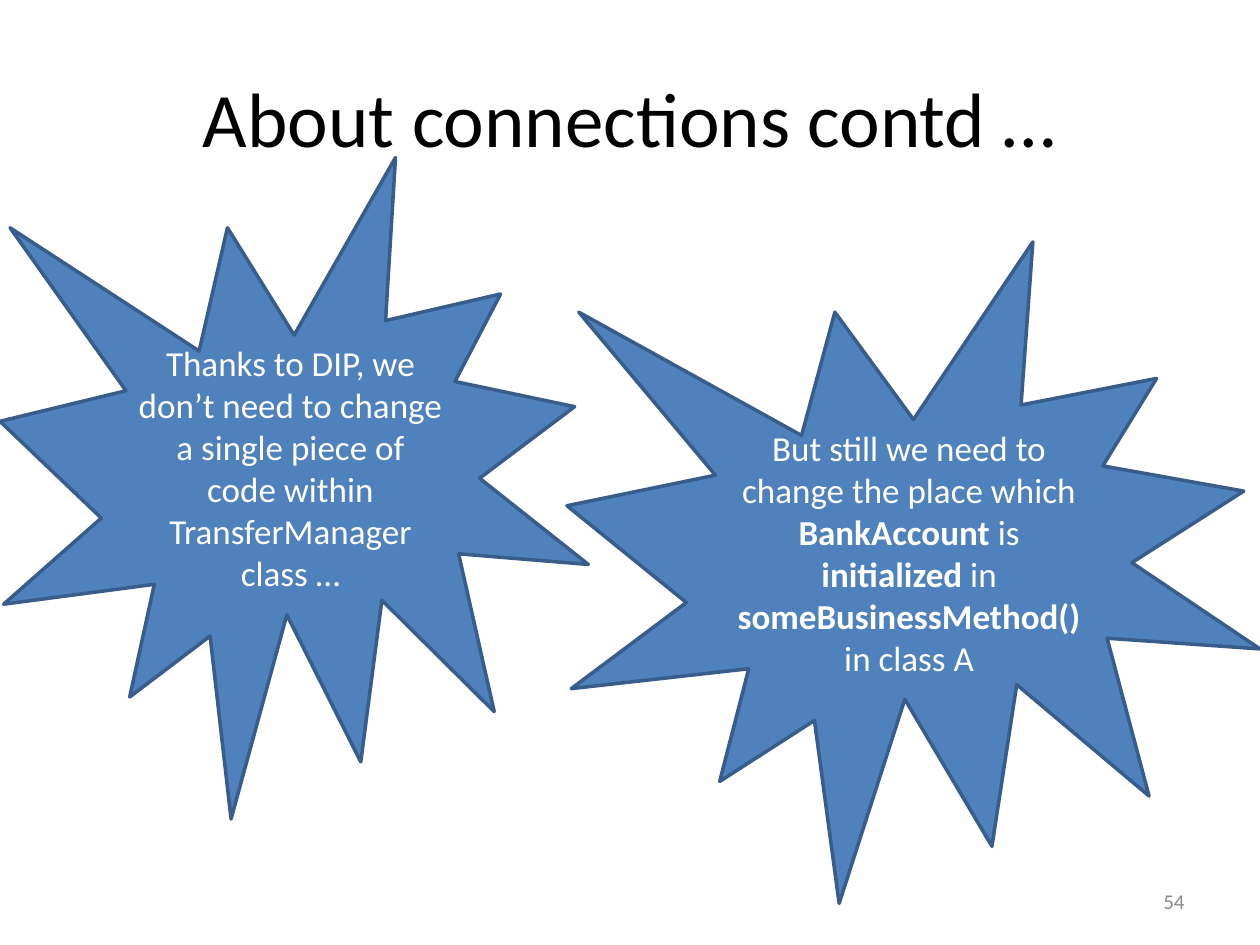
"""Build the slide "About connections contd …" with two starbursts."""
import pptx
import pptx.dml.color
import pptx.enum.shapes
import pptx.enum.text
import pptx.util

Inches, Pt = pptx.util.Inches, pptx.util.Pt
RGB = pptx.dml.color.RGBColor.from_string
ALIGN = pptx.enum.text.PP_ALIGN
COLORS = {"title": "000000", "number": "898989", "fill": "4F81BD", "line": "385D8A", "text": "FFFFFF"}


def format_text(tf, size, color, align):
    tf.word_wrap = True
    tf.vertical_anchor = pptx.enum.text.MSO_ANCHOR.MIDDLE
    p = tf.paragraphs[0]
    p.alignment = align
    p.font.name = "Calibri"
    p.font.size = Pt(size)
    p.font.color.rgb = RGB(COLORS[color])


prs = pptx.Presentation()
prs.slide_width, prs.slide_height = Inches(10), Inches(7.5)
s = prs.slides.add_slide(prs.slide_layouts[5])

title = s.shapes.title
title.left, title.top, title.width, title.height = Inches(0.5), Inches(0.3), Inches(9), Inches(1.25)
title.text_frame.text = "About connections contd …"
format_text(title.text_frame, 44, "title", ALIGN.CENTER)

number = s.shapes.add_textbox(Inches(7.17), Inches(6.95), Inches(2.33), Inches(0.4))
number.text_frame.text = "54"
format_text(number.text_frame, 12, "number", ALIGN.RIGHT)

bursts = [
    ((0, 1.25, 4.67, 5.25), [
        ("Thanks to DIP, we don’t need to change a single piece of code within TransferManager class …", False),
    ]),
    ((4.5, 1.92, 5.5, 5.25), [
        ("But still we need to change the place which ", False),
        ("BankAccount", True),
        (" is ", False),
        ("initialized", True),
        (" in ", False),
        ("someBusinessMethod()", True),
        (" in class A", False),
    ]),
]
for box, runs in bursts:
    sp = s.shapes.add_shape(pptx.enum.shapes.MSO_SHAPE.EXPLOSION1, *map(Inches, box))
    sp.shadow.inherit = False
    sp.fill.solid()
    sp.fill.fore_color.rgb = RGB(COLORS["fill"])
    sp.line.color.rgb = RGB(COLORS["line"])
    sp.line.width = Pt(2)
    for text, bold in runs:
        r = sp.text_frame.paragraphs[0].add_run()
        r.text = text
        r.font.bold = bold
    format_text(sp.text_frame, 20, "text", ALIGN.CENTER)

prs.save("out.pptx")
